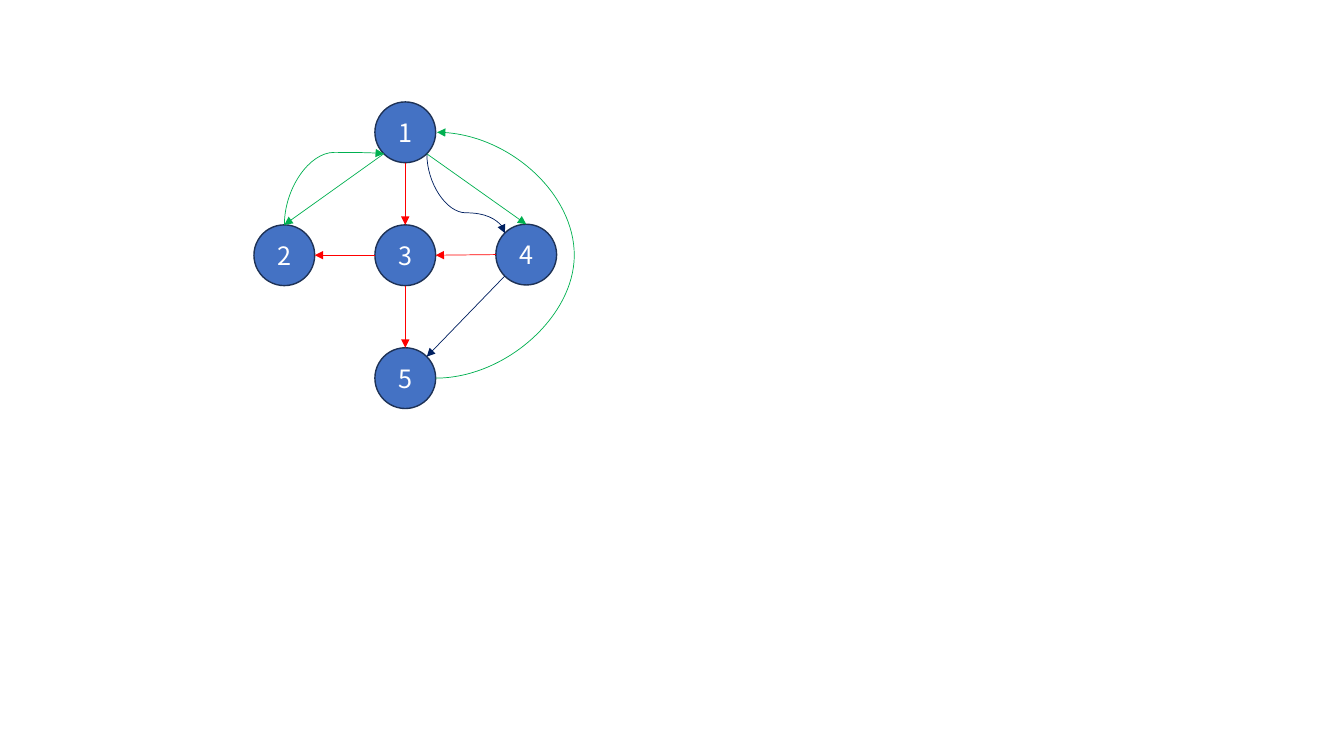
from math import sqrt

from lxml import etree
from pptx import Presentation
from pptx.dml.color import RGBColor
from pptx.enum.shapes import MSO_CONNECTOR, MSO_SHAPE
from pptx.enum.text import MSO_ANCHOR, PP_ALIGN
from pptx.oxml.ns import qn
from pptx.util import Pt

OVAL = MSO_SHAPE.OVAL
STRAIGHT, CURVE = MSO_CONNECTOR.STRAIGHT, MSO_CONNECTOR.CURVE
MIDDLE, CENTER = MSO_ANCHOR.MIDDLE, PP_ALIGN.CENTER

COLORS = {
    "node": "4472C4",
    "outline": "1E3256",
    "label": "FFFFFF",
    "red": "FF0000",
    "green": "00B050",
    "navy": "002060",
}
RADIUS = 21.7
CENTER_X, TOP_Y = 289.5, 94.5
COLUMN_STEP, ROW_STEP = 86.4, 87.8

# Column and row of each node; node 4 sits slightly above its row.
NODES = {
    "1": (0, 0),
    "3": (0, 1),
    "2": (-1, 1),
    "4": (1, 0.995),
    "5": (0, 2),
}
SITES = {"top": (0, -1), "left": (-1, 0), "bottom": (0, 1), "right": (1, 0),
         "top left": (-1, -1), "bottom left": (-1, 1), "bottom right": (1, 1)}


def color(key):
    return RGBColor.from_string(COLORS[key])


def site(node, side):
    """Return the point on a node's rim at the given side."""
    column, row = NODES[node]
    dx, dy = SITES[side]
    reach = RADIUS / sqrt(dx * dx + dy * dy)
    return (CENTER_X + column * COLUMN_STEP + dx * reach,
            TOP_Y + row * ROW_STEP + dy * reach)


class GraphSlide:
    font = "Noto Sans CJK SC"
    font_size = 18
    edge_width = 0.5

    def __init__(self, slide):
        self.shapes = slide.shapes

    def node(self, label):
        column, row = NODES[label]
        circle = self.shapes.add_shape(
            OVAL, Pt(CENTER_X + column * COLUMN_STEP - RADIUS),
            Pt(TOP_Y + row * ROW_STEP - RADIUS), Pt(2 * RADIUS), Pt(2 * RADIUS))
        circle.shadow.inherit = False
        circle.fill.solid()
        circle.fill.fore_color.rgb = color("node")
        circle.line.color.rgb = color("outline")
        circle.line.width = Pt(1)
        circle.text_frame.vertical_anchor = MIDDLE
        paragraph = circle.text_frame.paragraphs[0]
        paragraph.alignment = CENTER
        run = paragraph.add_run()
        run.text = label
        run.font.name = self.font
        run.font.size = Pt(self.font_size)
        run.font.color.rgb = color("label")

    def edge(self, start, end, color_key, kind=STRAIGHT):
        arrow = self.shapes.add_connector(kind, *map(Pt, (*start, *end)))
        arrow.line.color.rgb = color(color_key)
        arrow.line.width = Pt(self.edge_width)
        properties = arrow._element.spPr
        etree.SubElement(properties.find(qn("a:ln")), qn("a:tailEnd"), type="triangle")
        etree.SubElement(properties, qn("a:effectLst"))
        return properties

    def curve(self, start, end, color_key, bend, vertical=False):
        """Draw an arrow whose middle stretch lies at bend: an x, or a y if vertical."""
        axis = 1 if vertical else 0
        adjust = (bend - start[axis]) / (end[axis] - start[axis])
        turn = 0
        if vertical:
            # The frame is laid out sideways and then turned about its centre.
            dx, dy = end[0] - start[0], end[1] - start[1]
            mid_x, mid_y = start[0] + dx / 2, start[1] + dy / 2
            turn = 1 if dy < 0 else -1
            half_x, half_y = turn * dy / 2, turn * dx / 2
            start = mid_x - half_x, mid_y + half_y
            end = mid_x + half_x, mid_y - half_y
        properties = self.edge(start, end, color_key, CURVE)
        if turn:
            properties.find(qn("a:xfrm")).set("rot", str(turn % 4 * 90 * 60000))
        guides = properties.find(qn("a:prstGeom")).find(qn("a:avLst"))
        etree.SubElement(guides, qn("a:gd"), name="adj1",
                         fmla=f"val {round(adjust * 100000)}")


def main():
    prs = Presentation()
    prs.slide_width, prs.slide_height = Pt(960), Pt(540)
    graph = GraphSlide(prs.slides.add_slide(prs.slide_layouts[6]))

    for label in NODES:
        graph.node(label)

    straight_edges = [
        ("1", "bottom", "3", "top", "red"),
        ("4", "left", "3", "right", "red"),
        ("3", "left", "2", "right", "red"),
        ("3", "bottom", "5", "top", "red"),
        ("1", "bottom left", "2", "top", "green"),
        ("1", "bottom right", "4", "top", "green"),
        ("4", "bottom left", "5", "bottom right", "navy"),
    ]
    for source, source_side, target, target_side, color_key in straight_edges:
        start, end = site(source, source_side), site(target, target_side)
        if (source, target) == ("4", "5"):
            end = end[0], end[1] - RADIUS * sqrt(2)
        graph.edge(start, end, color_key)

    node_1_x, node_1_y = site("1", "right")
    graph.curve(site("5", "right"), (node_1_x + 1, node_1_y), "green", bend=411)
    graph.curve(site("1", "bottom right"), site("4", "top left"), "navy",
                bend=152, vertical=True)
    graph.curve(site("2", "top"), site("1", "bottom left"), "green",
                bend=108.9, vertical=True)
    prs.save("out.pptx")


if __name__ == "__main__":
    main()
